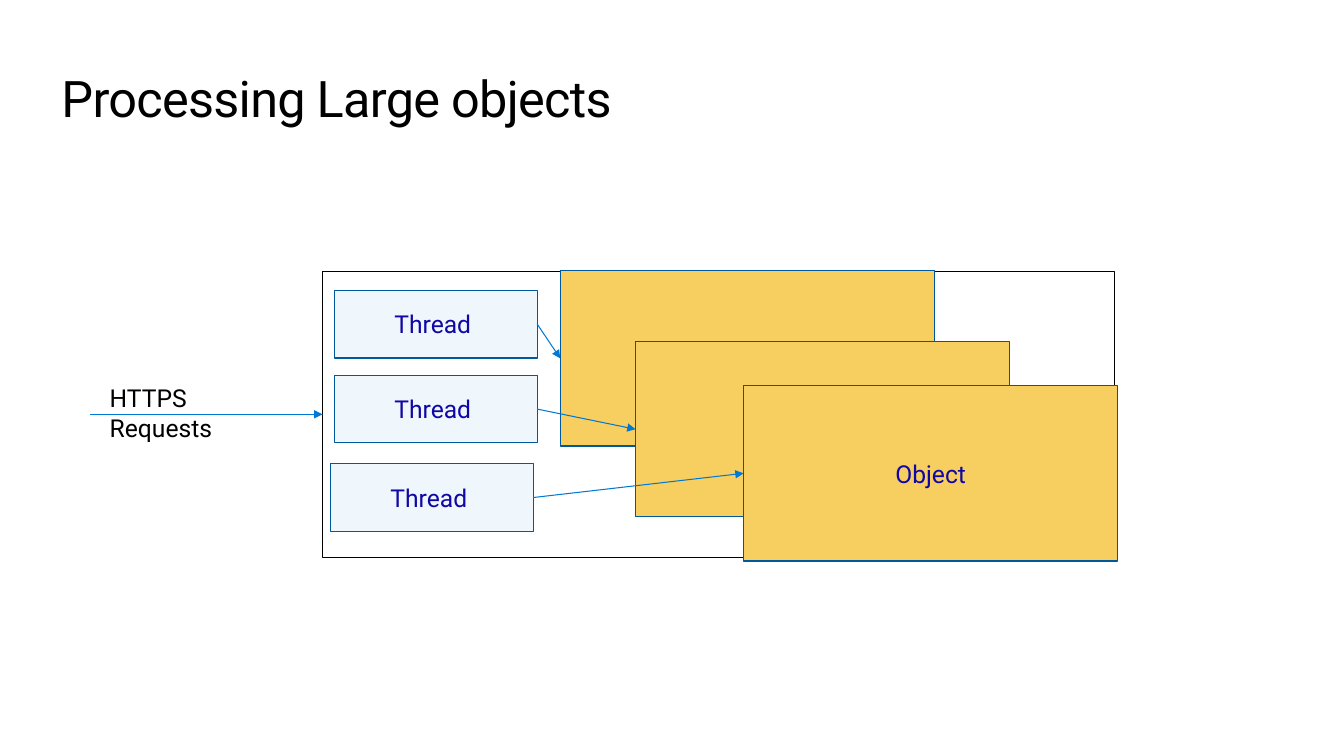
from lxml import etree
from pptx import Presentation
from pptx.dml.color import RGBColor
from pptx.enum.shapes import MSO_CONNECTOR as Connector, MSO_SHAPE as Shape
from pptx.enum.text import MSO_ANCHOR as Anchor, MSO_AUTO_SIZE as AutoSize, PP_ALIGN as Align
from pptx.oxml.ns import qn
from pptx.util import Pt

FONT = "Roboto"
LEFT_SITE, RIGHT_SITE = 1, 3


def color(hex_value):
    return RGBColor.from_string(hex_value)


def add_box(left, top, width, height, fill, line, text=""):
    """Add a bordered rectangle with an optional centred label."""
    box = slide.shapes.add_shape(Shape.RECTANGLE, Pt(left), Pt(top), Pt(width), Pt(height))
    box.shadow.inherit = False
    box.fill.solid()
    box.fill.fore_color.rgb = color(fill)
    box.line.color.rgb = color(line)
    box.line.width = Pt(0.85)
    if text:
        box.text_frame.text = text
        box.text_frame.vertical_anchor = Anchor.MIDDLE
        paragraph = box.text_frame.paragraphs[0]
        paragraph.alignment = Align.CENTER
        paragraph.font.name = FONT
        paragraph.font.size = Pt(17.6)
        paragraph.font.color.rgb = color("1007A5")
    return box


presentation = Presentation()
presentation.slide_width, presentation.slide_height = Pt(960), Pt(540)
slide = presentation.slides.add_slide(presentation.slide_layouts[5])

# Title
title = slide.shapes.title
title.left, title.top, title.width, title.height = Pt(43.92), Pt(47.5), Pt(828), Pt(44)
frame = title.text_frame
frame.text = "Processing Large objects"
frame.auto_size = AutoSize.NONE
frame.margin_left = frame.margin_top = frame.margin_right = frame.margin_bottom = 0
paragraph = frame.paragraphs[0]
paragraph.alignment = Align.LEFT
paragraph.font.name = FONT
paragraph.font.size = Pt(36)
paragraph.font.color.rgb = color("000000")
paragraph.runs[0].font._element.set("spc", "-50")

# Server process with its threads and the objects they handle
process = add_box(230.4, 193.7, 565.9, 204.5, "FFFFFF", "000000")
threads = [
    add_box(left, top, 144.7, 48.4, "EFF7FD", "00599D", "Thread ")
    for left, top in [(239, 207.3), (239, 268), (236.2, 331.2)]
]
objects = [
    add_box(left, top, 267.3, 125.2, "F7CE60", "00599D", text)
    for left, top, text in [(400.2, 193.4, ""), (454, 244, ""), (531.2, 275.5, "Object")]
]

# Incoming requests
label = slide.shapes.add_textbox(Pt(71.3), Pt(270), Pt(132.5), Pt(52))
label.text_frame.word_wrap = True
label.text_frame.text = "HTTPS Requests"
paragraph = label.text_frame.paragraphs[0]
paragraph.font.name = FONT
paragraph.font.size = Pt(17.6)
paragraph.font.color.rgb = color("000000")

# Arrows
for source, target in [(None, process), *zip(threads, objects)]:
    arrow = slide.shapes.add_connector(Connector.STRAIGHT, Pt(64.2), Pt(295.95), Pt(230.4), Pt(295.95))
    if source:
        arrow.begin_connect(source, RIGHT_SITE)
    arrow.end_connect(target, LEFT_SITE)
    arrow.line.color.rgb = color("0078D4")
    arrow.line.width = Pt(0.75)
    etree.SubElement(arrow.line._get_or_add_ln(), qn("a:tailEnd"), type="triangle")
    etree.SubElement(arrow._element.spPr, qn("a:effectLst"))

presentation.save("out.pptx")
